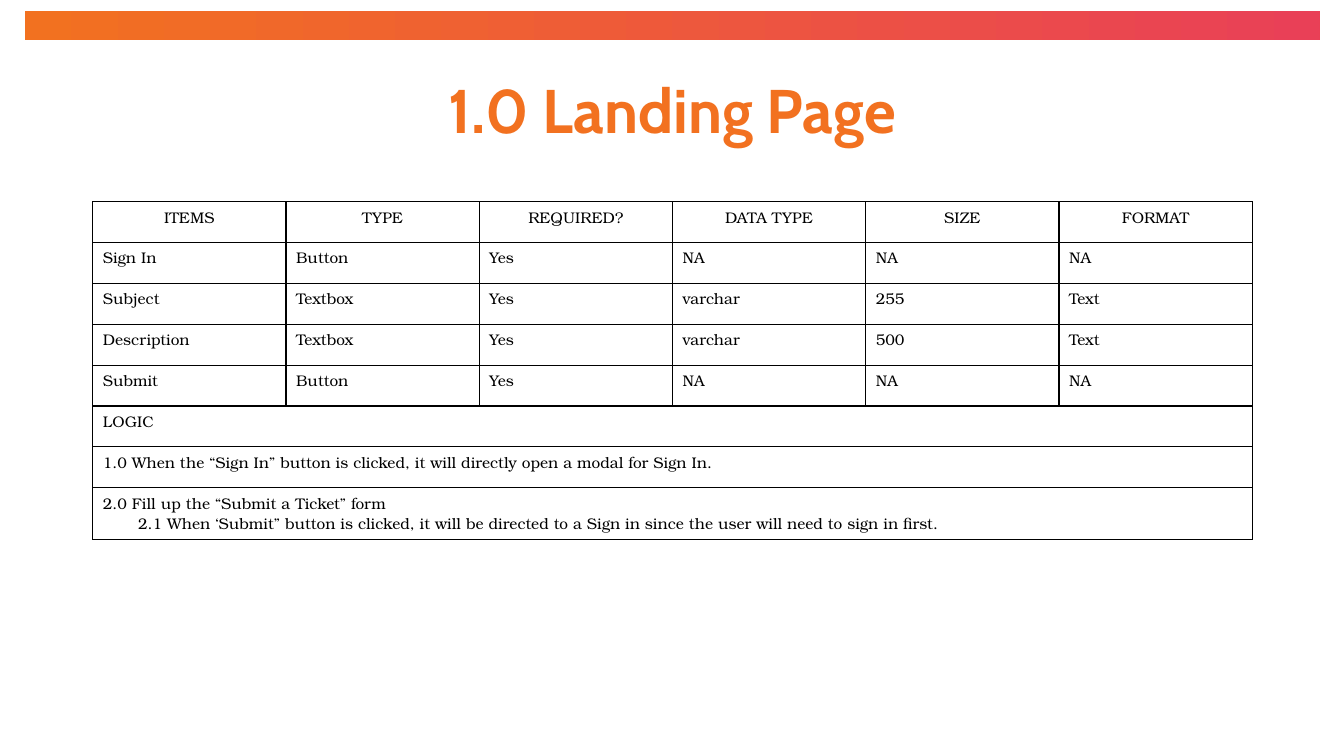
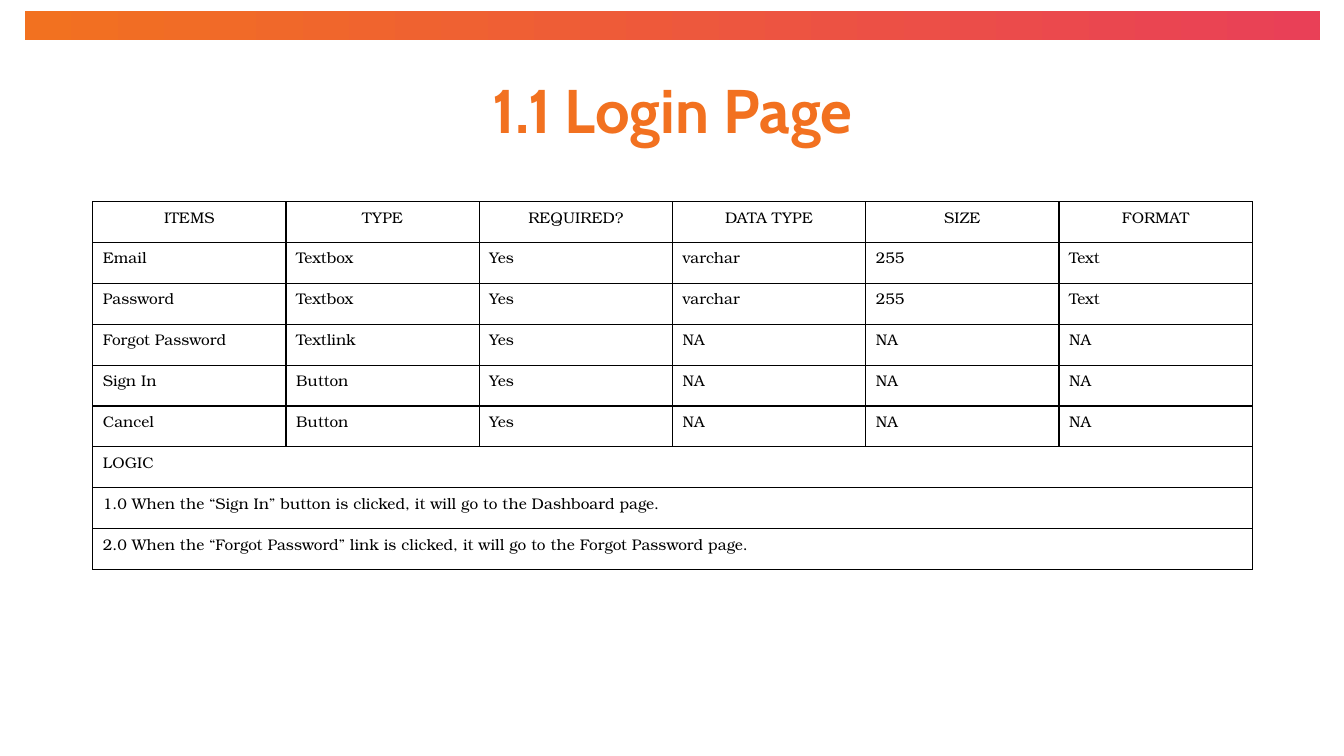
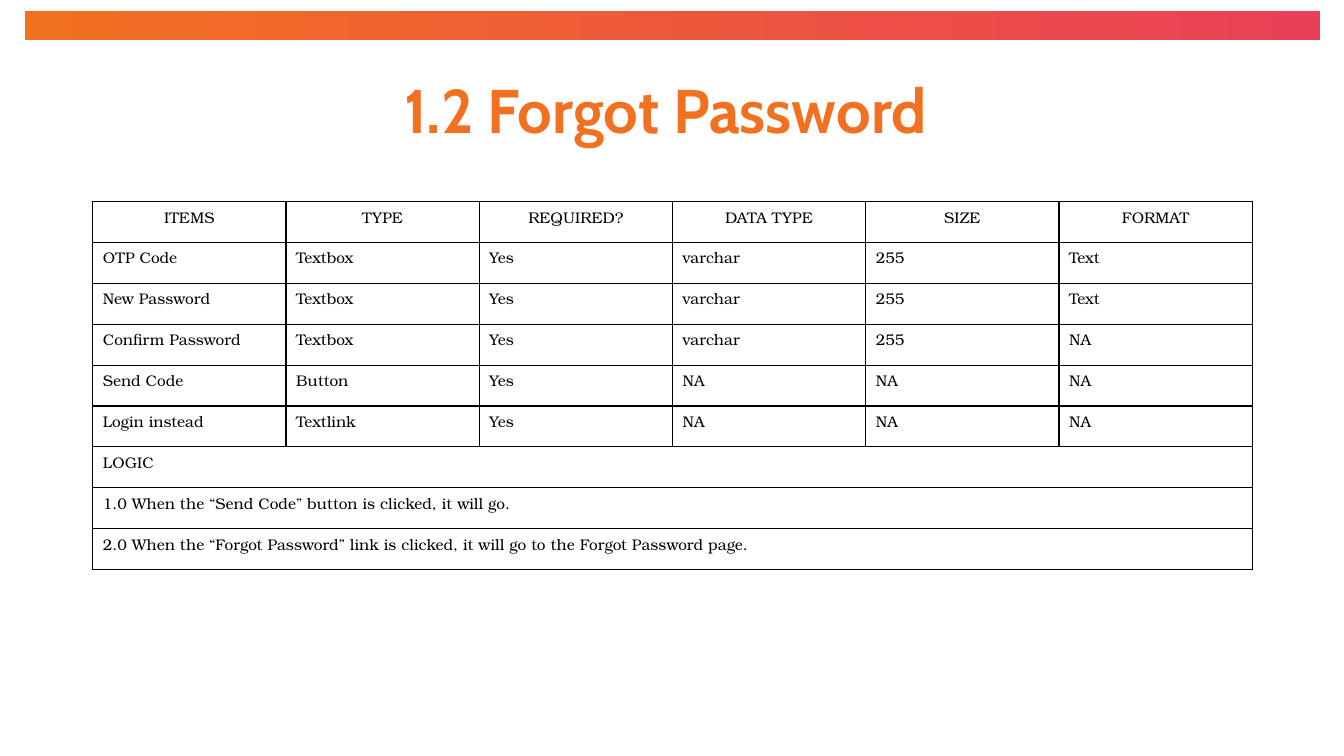
from lxml.etree import SubElement
from pptx import Presentation
from pptx.dml.color import RGBColor
from pptx.enum.shapes import MSO_SHAPE
from pptx.enum.text import MSO_ANCHOR, MSO_AUTO_SIZE, PP_ALIGN
from pptx.oxml.ns import qn
from pptx.util import Inches, Pt

HEADINGS = ["ITEMS", "TYPE", "REQUIRED?", "DATA TYPE", "SIZE", "FORMAT"]
NOT_APPLICABLE = ["NA", "NA", "NA"]
TEXT_255 = ["varchar", "255", "Text"]
FORGOT_LINK = "2.0 When the “Forgot Password” link is clicked, it will go to the Forgot Password page."

PAGES = [
    (
        "1.0 Landing Page",
        [
            ["Sign In", "Button", "Yes", *NOT_APPLICABLE],
            ["Subject", "Textbox", "Yes", *TEXT_255],
            ["Description", "Textbox", "Yes", "varchar", "500", "Text"],
            ["Submit", "Button", "Yes", *NOT_APPLICABLE],
        ],
        [
            ["1.0 When the “Sign In” button is clicked, it will directly open a modal for Sign In."],
            [
                "2.0 Fill up the “Submit a Ticket” form",
                "2.1 When ‘Submit” button is clicked, it will be directed to a Sign in "
                "since the user will need to sign in first.",
            ],
        ],
    ),
    (
        "1.1 Login Page",
        [
            ["Email", "Textbox", "Yes", *TEXT_255],
            ["Password", "Textbox", "Yes", *TEXT_255],
            ["Forgot Password", "Textlink", "Yes", *NOT_APPLICABLE],
            ["Sign In", "Button", "Yes", *NOT_APPLICABLE],
            ["Cancel", "Button", "Yes", *NOT_APPLICABLE],
        ],
        [
            ["1.0 When the “Sign In” button is clicked, it will go to the Dashboard page."],
            [FORGOT_LINK],
        ],
    ),
    (
        "1.2 Forgot Password ",
        [
            ["OTP Code", "Textbox", "Yes", *TEXT_255],
            ["New Password", "Textbox", "Yes", *TEXT_255],
            ["Confirm Password", "Textbox", "Yes", "varchar", "255", "NA"],
            ["Send Code", "Button", "Yes", *NOT_APPLICABLE],
            ["Login instead", "Textlink", "Yes", *NOT_APPLICABLE],
        ],
        [
            ["1.0 When the “Send Code” button is clicked, it will go."],
            [FORGOT_LINK],
        ],
    ),
]


def paint(fill, *colours):
    """Fill with one hex colour, or with a left-to-right gradient of two."""
    if len(colours) == 1:
        fill.solid()
        fill.fore_color.rgb = RGBColor.from_string(colours[0])
        return
    fill.gradient()
    fill.gradient_angle = 0
    for stop, colour in zip(fill.gradient_stops, colours):
        stop.color.rgb = RGBColor.from_string(colour)


def write(paragraph, text, *, font, size, colours, bold=False, align=PP_ALIGN.LEFT, spacing=1.0, indent=0):
    """Put formatted text into a paragraph."""
    paragraph.alignment = align
    paragraph.line_spacing = spacing
    if indent:
        paragraph._p.get_or_add_pPr().set("marL", str(Inches(indent)))
    run = paragraph.add_run()
    run.text = text
    run.font.name = font
    run.font.size = Pt(size)
    run.font.bold = bold
    paint(run.font.fill, *colours)


class SpecDeck:
    """Page specification deck: its style and the slide in progress."""

    ACCENT = ("F27120", "E94057")
    INK = "000000"
    TITLE_FONT = "Cabin"
    BODY_FONT = "TeX Gyre Bonum"
    LEFT, WIDTH = 0.92, 11.5
    ROW_HEIGHT = 3.65 / 9

    def __init__(self):
        """Open an empty widescreen presentation."""
        self.deck = Presentation()
        self.deck.slide_width = Inches(13.33)
        self.deck.slide_height = Inches(7.5)
        self.slide = None

    def add_page(self, title, items, logic):
        """Add one page specification slide."""
        self.slide = self.deck.slides.add_slide(self.deck.slide_layouts[5])
        self.add_band()
        self.add_title(title)
        self.add_specification(items, logic)

    def add_band(self):
        """Draw the gradient band along the top."""
        band = self.slide.shapes.add_shape(
            MSO_SHAPE.RECTANGLE, Inches(0.25), Inches(0.11), Inches(12.84), Inches(0.29)
        )
        band.shadow.inherit = False
        band.line.fill.background()
        paint(band.fill, *self.ACCENT)

    def add_title(self, text):
        """Place and format the title."""
        title = self.slide.shapes.title
        title.left, title.top = Inches(self.LEFT), Inches(0.4)
        title.width, title.height = Inches(self.WIDTH), Inches(1.45)
        frame = title.text_frame
        frame.word_wrap = True
        frame.auto_size = MSO_AUTO_SIZE.NONE
        frame.vertical_anchor = MSO_ANCHOR.MIDDLE
        write(frame.paragraphs[0], text, font=self.TITLE_FONT, size=44, colours=self.ACCENT,
              bold=True, align=PP_ALIGN.CENTER, spacing=0.9)

    def add_specification(self, items, logic):
        """Add the item grid followed by full-width logic rows."""
        grid = [HEADINGS, *items]
        notes = [["LOGIC"], *logic]
        row_count = len(grid) + len(notes)
        table = self.slide.shapes.add_table(
            row_count, len(HEADINGS), Inches(self.LEFT), Inches(2),
            Inches(self.WIDTH), Inches(self.ROW_HEIGHT * row_count)
        ).table
        table.first_row = table.horz_banding = False
        for cell in table.iter_cells():
            self.outline(cell)
            cell.fill.background()
        for row, values in enumerate(grid):
            align = PP_ALIGN.LEFT if row else PP_ALIGN.CENTER
            for column, value in enumerate(values):
                self.fill_cell(table.cell(row, column), [value], align)
        for row, lines in enumerate(notes, len(grid)):
            note = table.cell(row, 0)
            note.merge(table.cell(row, len(HEADINGS) - 1))
            self.fill_cell(note, lines)

    def fill_cell(self, cell, lines, align=PP_ALIGN.LEFT):
        """Write the lines of a cell, indenting those after the first."""
        frame = cell.text_frame
        for number, line in enumerate(lines):
            paragraph = frame.add_paragraph() if number else frame.paragraphs[0]
            write(paragraph, line, font=self.BODY_FONT, size=11, colours=[self.INK],
                  align=align, indent=0.35 if number else 0)

    def outline(self, cell):
        """Draw a thin border on all four sides of a cell."""
        properties = cell._tc.get_or_add_tcPr()
        for side in ("a:lnL", "a:lnR", "a:lnT", "a:lnB"):
            border = SubElement(properties, qn(side), w=str(Pt(1)))
            ink = SubElement(border, qn("a:solidFill"))
            SubElement(ink, qn("a:srgbClr"), val=self.INK)

    def save(self):
        """Save the presentation."""
        self.deck.save("out.pptx")


def main():
    """Build every page specification."""
    specification = SpecDeck()
    for title, items, logic in PAGES:
        specification.add_page(title, items, logic)
    specification.save()


if __name__ == "__main__":
    main()
